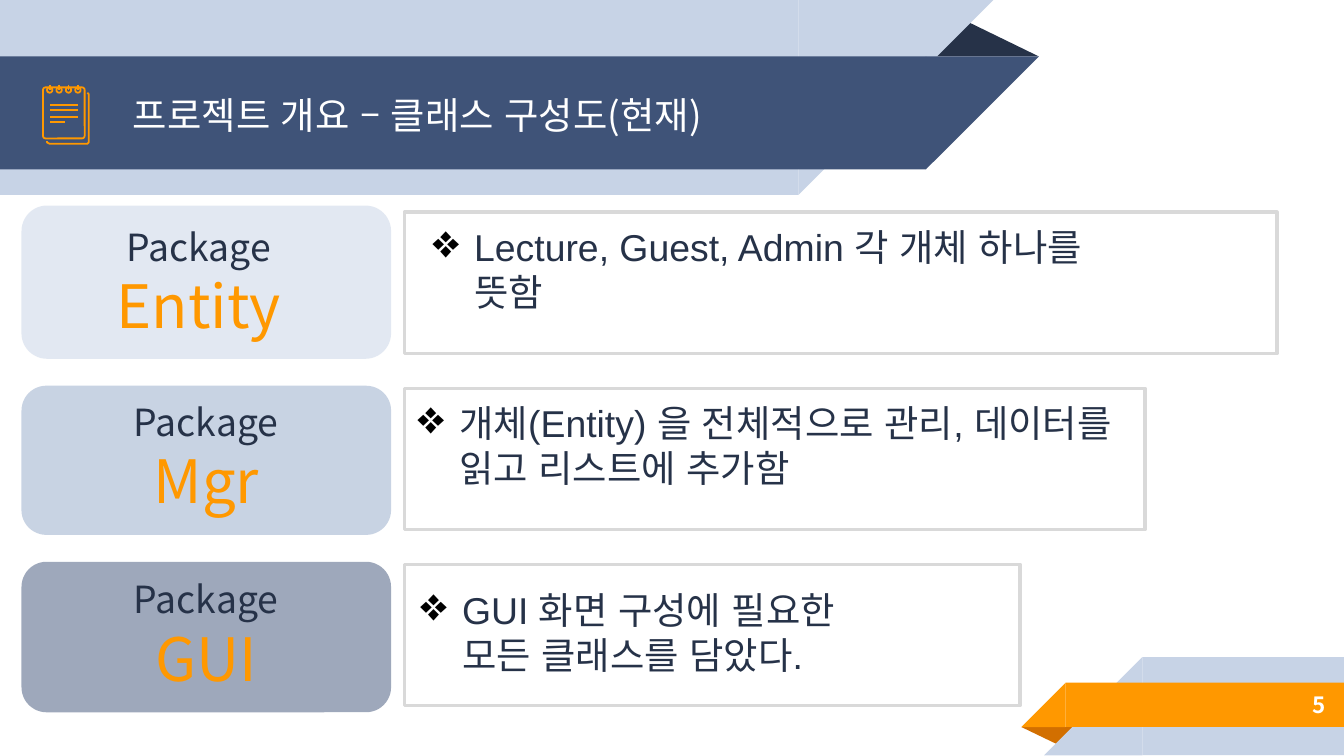
from lxml import etree
from pptx import Presentation
from pptx.dml.color import RGBColor
from pptx.enum.lang import MSO_LANGUAGE_ID
from pptx.enum.shapes import MSO_CONNECTOR, MSO_SHAPE
from pptx.enum.text import MSO_ANCHOR, PP_ALIGN
from pptx.oxml.ns import qn
from pptx.util import Inches, Pt

RECT = MSO_SHAPE.RECTANGLE
ROUNDED = MSO_SHAPE.ROUNDED_RECTANGLE
TRIANGLE = MSO_SHAPE.ISOSCELES_TRIANGLE
RIGHT_TRIANGLE = MSO_SHAPE.RIGHT_TRIANGLE
OVAL = MSO_SHAPE.OVAL
STRAIGHT = MSO_CONNECTOR.STRAIGHT
MIDDLE = MSO_ANCHOR.MIDDLE
CENTER, RIGHT = PP_ALIGN.CENTER, PP_ALIGN.RIGHT
KOREAN_LANGUAGE = MSO_LANGUAGE_ID.KOREAN

COLORS = {
    "navy": "263248",
    "blue": "3F5378",
    "steel": "92A8C8",
    "pale": "C7D3E6",
    "orange": "FF9800",
    "rust": "D26F00",
    "border": "D9D9D9",
    "white": "FFFFFF",
    "black": "000000",
}
KOREAN, LATIN = "Noto Sans CJK KR", "Arial"
ICON_LINE = 0.96

PACKAGES = [
    ("Entity", "pale", (0.16, 1.53, 2.75, 1.14), (0.37, 1.62, 2.22, 0.98)),
    ("Mgr", "steel", (0.16, 2.87, 2.75, 1.11), (0.37, 2.92, 2.33, 0.98)),
    ("GUI", "blue", (0.16, 4.18, 2.75, 1.12), (0.37, 4.24, 2.33, 0.98)),
]
DESCRIPTIONS = [
    ("Lecture, Guest, Admin 각 개체 하나를 뜻함", 6.49, (3.12, 1.62, 5.5, 0.77)),
    ("개체(Entity) 을 전체적으로 관리, 데이터를 읽고 리스트에 추가함", 5.51, (3.01, 2.93, 5.5, 0.77)),
    ("GUI 화면 구성에 필요한 모든 클래스를 담았다.", 4.58, (3.03, 4.32, 3.84, 0.77)),
]


def rgb(color):
    return RGBColor.from_string(COLORS[color])


def inches(values):
    return [Inches(value) for value in values]


def add_filled(slide, kind, box, color, alpha=None, rotation=0, flip=False):
    shape = slide.shapes.add_shape(kind, *inches(box))
    shape.shadow.inherit = False
    shape.fill.solid()
    shape.fill.fore_color.rgb = rgb(color)
    shape.line.fill.background()
    shape.rotation = rotation
    if flip:
        shape._element.spPr.xfrm.set("flipH", "1")
    if alpha is not None:
        tint = shape._element.spPr.find(qn("a:solidFill"))[0]
        etree.SubElement(tint, qn("a:alpha")).set("val", str(alpha * 1000))
    return shape


def style_outline(shape, color, width):
    shape.shadow.inherit = False
    shape.fill.background()
    shape.line.color.rgb = rgb(color)
    shape.line.width = Pt(width)


def add_outlined(slide, kind, box, color, width):
    shape = slide.shapes.add_shape(kind, *inches(box))
    style_outline(shape, color, width)
    return shape


def add_stroke(slide, *ends):
    stroke = slide.shapes.add_connector(STRAIGHT, *inches(ends))
    stroke.line.color.rgb = rgb("orange")
    stroke.line.width = Pt(ICON_LINE)
    etree.SubElement(stroke._element.spPr, qn("a:effectLst"))


def add_text(slide, box, lines, font=KOREAN, align=None, anchor=None, inset=None, bold=None):
    frame = slide.shapes.add_textbox(*inches(box)).text_frame
    frame.word_wrap = True
    if anchor is not None:
        frame.vertical_anchor = anchor
    if inset is not None:
        frame.margin_left = frame.margin_right = Inches(inset)
        frame.margin_top = frame.margin_bottom = Inches(inset)
    for index, (text, size, color) in enumerate(lines):
        paragraph = frame.add_paragraph() if index else frame.paragraphs[0]
        paragraph.text = text
        paragraph.alignment = align
        paragraph.font.name = font
        paragraph.font.size = Pt(size)
        paragraph.font.bold = bold
        paragraph.font.color.rgb = rgb(color)
        paragraph.font.language_id = KOREAN_LANGUAGE
        east_asian = etree.SubElement(paragraph.font._element, qn("a:ea"))
        east_asian.set("typeface", KOREAN)
    return frame


def add_bullet(paragraph, indent=0.31):
    properties = paragraph._p.get_or_add_pPr()
    properties.set("marL", str(Inches(indent)))
    properties.set("indent", str(-Inches(indent)))
    bullet_color = etree.Element(qn("a:buClr"))
    etree.SubElement(bullet_color, qn("a:srgbClr")).set("val", COLORS["black"])
    bullet_size = etree.Element(qn("a:buSzPct"))
    bullet_size.set("val", "125000")
    bullet = etree.Element(qn("a:buChar"))
    bullet.set("char", "❖")
    for position, part in enumerate([bullet_color, bullet_size, bullet]):
        properties.insert(position, part)


def add_header_band(slide, top, body_width, height, color):
    add_filled(slide, RECT, (0, top, body_width, height), color, rotation=180, flip=True)
    add_filled(slide, RIGHT_TRIANGLE, (body_width, top, height, height), color, rotation=180, flip=True)


def add_footer_band(slide, left, top, height, color):
    body_left = left + height
    add_filled(slide, RECT, (body_left, top, 10 - body_left, height), color, flip=True)
    add_filled(slide, RIGHT_TRIANGLE, (left, top, height, height), color, flip=True)


def add_fold(slide, box, color, rotation=0):
    fold = add_filled(slide, TRIANGLE, box, color, rotation=rotation)
    fold.adjustments[0] = 0.324


def add_notepad(slide):
    back_page = [(0.35, 1.05), (0.35, 1.06), (0.37, 1.07), (0.65, 1.07),
                 (0.66, 1.06), (0.66, 0.7), (0.65, 0.69)]
    start, *rest = [inches(point) for point in back_page]
    builder = slide.shapes.build_freeform(*start)
    builder.add_line_segments(rest, close=False)
    style_outline(builder.convert_to_shape(), "orange", ICON_LINE)

    cover = add_outlined(slide, ROUNDED, (0.32, 0.65, 0.31, 0.38), "orange", ICON_LINE)
    cover.adjustments[0] = 0.06
    for ring in range(4):
        center = 0.37 + 0.07 * ring
        add_outlined(slide, OVAL, (center - 0.02, 0.65, 0.04, 0.04), "orange", ICON_LINE)
        add_stroke(slide, center, 0.63, center, 0.67)
    for y, right in [(0.78, 0.58), (0.82, 0.58), (0.87, 0.58), (0.91, 0.48)]:
        add_stroke(slide, right, y, 0.37, y)


def add_package(slide, name, color, card, label):
    add_filled(slide, ROUNDED, card, color, alpha=50)
    add_text(slide, label, [("Package", 20, "navy"), (name, 32, "orange")], align=CENTER)


def add_description(slide, row, text, width, box):
    add_outlined(slide, RECT, (3.01, 1.58 + 1.31 * row, width, 1.05), "border", 2)
    frame = add_text(slide, box, [(text, 20, "navy")], font=LATIN)
    add_bullet(frame.paragraphs[0])


def main():
    deck = Presentation()
    deck.slide_width = Inches(10)
    deck.slide_height = deck.slide_width * 9 // 16
    slide = deck.slides.add_slide(deck.slide_layouts[6])

    add_fold(slide, (6.88, 0.14, 0.85, 0.28), "navy")
    add_header_band(slide, 0, 5.94, 1.45, "pale")
    add_header_band(slide, 0.42, 6.89, 0.84, "blue")
    add_fold(slide, (7.6, 5.41, 0.43, 0.14), "rust", rotation=180)
    add_footer_band(slide, 7.77, 4.89, 0.73, "pale")
    add_footer_band(slide, 7.6, 5.08, 0.33, "orange")

    add_text(slide, (0.89, 0.43, 5.75, 0.84), [("프로젝트 개요 – 클래스 구성도(현재)", 20, "white")],
             anchor=MIDDLE, inset=0.1)
    add_text(slide, (8.33, 5.07, 1.63, 0.35), [("5", 12, "white")],
             align=RIGHT, anchor=MIDDLE, inset=0.1, bold=True)
    add_notepad(slide)

    for package in PACKAGES:
        add_package(slide, *package)
    for row, description in enumerate(DESCRIPTIONS):
        add_description(slide, row, *description)

    deck.save("out.pptx")


if __name__ == "__main__":
    main()
